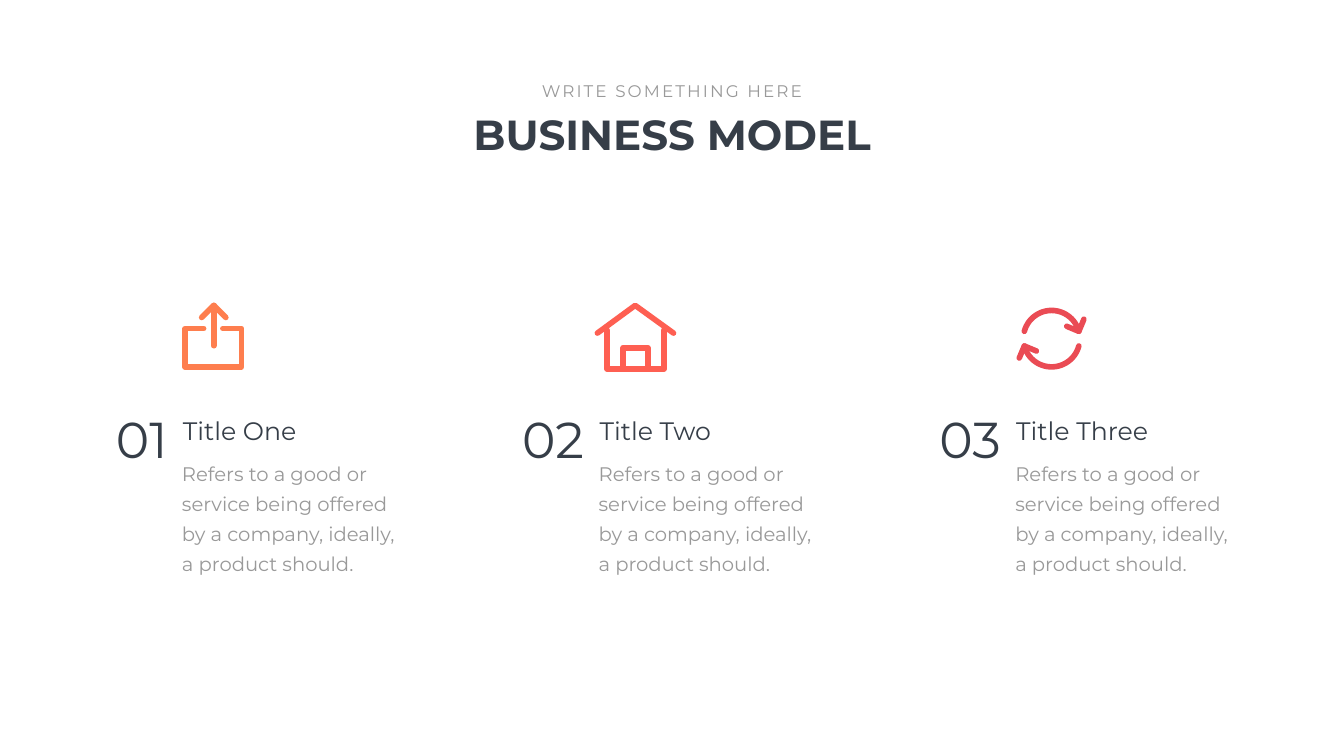
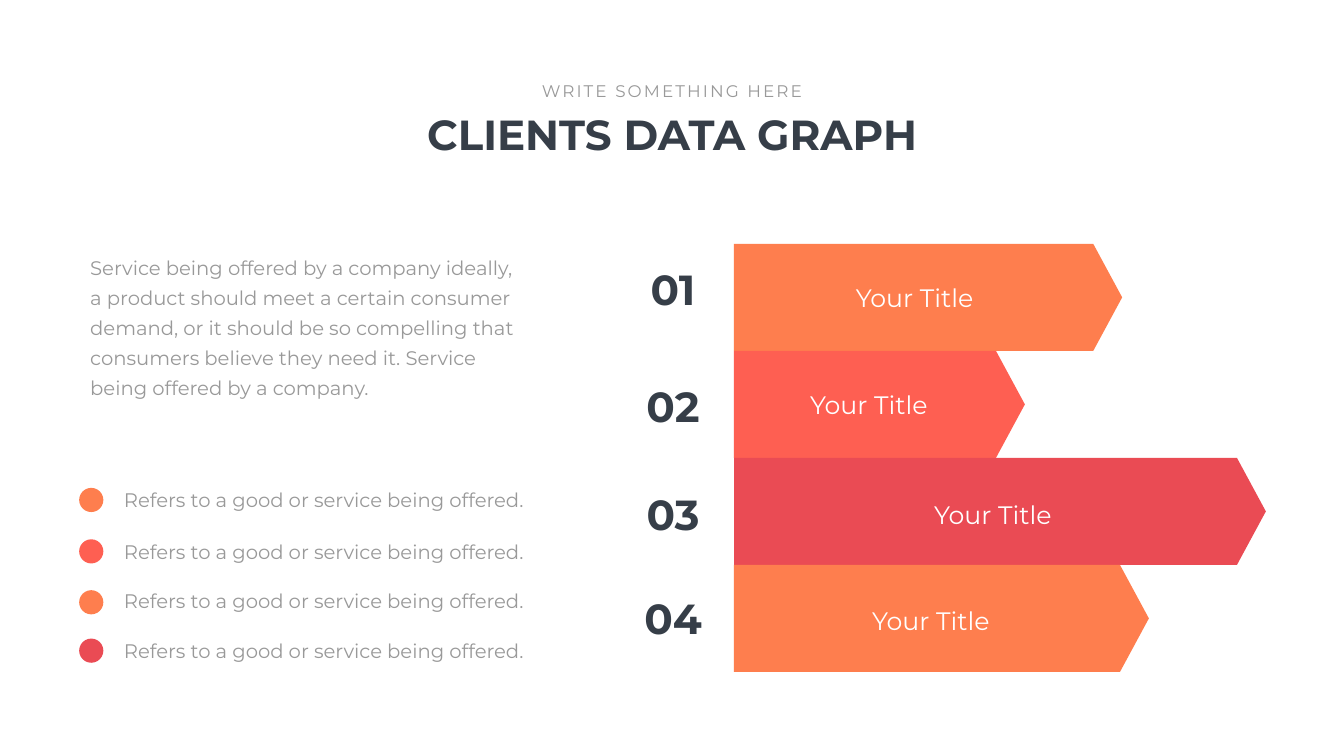
"""Builds two slides: a three-column business model and a clients data graph."""
from math import cos, radians, sin

from lxml import etree
from pptx import Presentation
from pptx.dml.color import RGBColor
from pptx.enum.shapes import MSO_SHAPE
from pptx.enum.text import MSO_AUTO_SIZE, PP_ALIGN
from pptx.oxml.ns import qn
from pptx.util import Inches, Pt

LEFT, CENTER, RIGHT = PP_ALIGN.LEFT, PP_ALIGN.CENTER, PP_ALIGN.RIGHT
GROW = MSO_AUTO_SIZE.SHAPE_TO_FIT_TEXT
OVAL, PENTAGON = MSO_SHAPE.OVAL, MSO_SHAPE.PENTAGON

ORANGE = RGBColor(0xFE, 0x7E, 0x4E)
CORAL = RGBColor(0xFE, 0x5F, 0x52)
RED = RGBColor(0xEA, 0x4B, 0x54)
DARK = RGBColor(0x36, 0x3E, 0x48)
GRAY = RGBColor(0x99, 0x99, 0x99)
WHITE = RGBColor(0xFF, 0xFF, 0xFF)

FONT = "Montserrat"
SMALL, BODY, HEADING, TITLE, NUMBER = 24, 28, 36, 60, 72
SLIDE_W, SLIDE_H = 26.66, 15


def add_text(s, x, y, w, h, text, size, color, align=LEFT, bold=False, wrap=True):
    sp = s.shapes.add_textbox(Inches(x), Inches(y), Inches(w), Inches(h))
    tf = sp.text_frame
    tf.word_wrap = wrap
    tf.auto_size = GROW
    tf.text = text
    p = tf.paragraphs[0]
    p.alignment = align
    font = p.runs[0].font
    font.name, font.size, font.bold = FONT, Pt(size), bold
    font.color.rgb = color
    return tf


def fill_shape(sp, color):
    sp.shadow.inherit = False
    sp.fill.solid()
    sp.fill.fore_color.rgb = color
    sp.line.fill.background()


prs = Presentation()
prs.slide_width, prs.slide_height = Inches(SLIDE_W), Inches(SLIDE_H)

slides = []
for title, width in (("BUSINESS MODEL", 9.98), ("CLIENTS DATA GRAPH", 13.14)):
    s = prs.slides.add_slide(prs.slide_layouts[6])
    s.background.fill.solid()
    s.background.fill.fore_color.rgb = WHITE
    add_text(s, (SLIDE_W - width) / 2, 2.1, width, 1.11, title, TITLE, DARK, CENTER, bold=True)
    tf = add_text(s, 10.6, 1.55, 5.46, 0.5, "WRITE SOMETHING HERE", SMALL, GRAY, CENTER,
                  wrap=False)
    tf.paragraphs[0].runs[0]._r.get_or_add_rPr().set("spc", "300")
    slides.append(s)
model, graph = slides

COLUMN_X = 3.37
COLUMN_PITCH = (19.9 - COLUMN_X) / 2
COLUMN_TEXT = ("Refers to a good or service being offered by a company, "
               "ideally, a product should.")
INTRO = ("Service being offered by a company ideally, a product should meet a certain consumer "
         "demand, or it should be so compelling that consumers believe they need it. "
         "Service being offered by a company.")

body_frames = []
for i, name in enumerate(("One", "Two", "Three")):
    x = COLUMN_X + COLUMN_PITCH * i
    body_frames.append(add_text(model, x, 8.91, 4.97, 2.6, COLUMN_TEXT, BODY, GRAY))
    add_text(model, x + 0.16, 8.2, 4.81, 0.71, f"Title {name}", HEADING, DARK)
    add_text(model, x - 1.58, 8.05, 1.63, 1.31, f"0{i + 1}", NUMBER, DARK, RIGHT)
body_frames.append(add_text(graph, 1.55, 4.82, 8.93, 3.2, INTRO, BODY, GRAY))

for tf in body_frames:
    tf.margin_left = tf.margin_right = Inches(0.24)
    tf.margin_top = tf.margin_bottom = Inches(0.12)
    tf.paragraphs[0].line_spacing = Pt(43)

ICON_STROKE = 8
tray = [(4.42, 6.52), (4.79, 6.52), (4.79, 7.28), (3.67, 7.28), (3.67, 6.52), (4.04, 6.52)]
arrow_head = [(4, 6.3), (4.24, 6.06), (4.48, 6.3)]
arrow_stem = [(4.24, 6.06), (4.24, 6.86)]
roof = [(11.85, 6.61), (12.6, 6.06), (13.36, 6.61)]
walls = [(12.04, 6.55), (12.04, 7.32), (13.17, 7.32), (13.17, 6.55)]
door = [(12.36, 7.32), (12.36, 6.9), (12.85, 6.9), (12.85, 7.32)]
icons = [(ORANGE, [tray]), (ORANGE, [arrow_head, arrow_stem]), (CORAL, [roof, walls, door])]

CYCLE_X, CYCLE_Y, CYCLE_RADIUS = 20.86, 6.72, 0.56
arc = [(CYCLE_RADIUS * cos(radians(a)), CYCLE_RADIUS * sin(radians(a)))
       for a in range(195, 346, 5)]
tip_x, tip_y = arc[-1]
cycle_head = [(tip_x - 0.24, tip_y - 0.1), (tip_x, tip_y), (tip_x + 0.1, tip_y - 0.24)]
for turn in (1, -1):
    icons.append((RED, [[(CYCLE_X + turn * dx, CYCLE_Y + turn * dy) for dx, dy in stroke]
                        for stroke in (arc, cycle_head)]))

for color, strokes in icons:
    first_x, first_y = strokes[0][0]
    builder = model.shapes.build_freeform(Inches(first_x), Inches(first_y))
    for stroke in strokes:
        points = [(Inches(x), Inches(y)) for x, y in stroke]
        if stroke is not strokes[0]:
            builder.move_to(*points[0])
        builder.add_line_segments(points[1:], close=False)
    sp = builder.convert_to_shape()
    sp.shadow.inherit = False
    sp.fill.background()
    sp.line.color.rgb = color
    sp.line.width = Pt(ICON_STROKE)
    ln = sp._element.spPr.find(qn("a:ln"))
    ln.set("cap", "rnd")
    etree.SubElement(ln, qn("a:round"))

DOT_SIZE = 0.48
legend = ((ORANGE, 9.68, 9.64), (CORAL, 10.7, 10.66), (ORANGE, 11.71, 11.64), (RED, 12.67, 12.63))
for color, dot_y, text_y in legend:
    sp = graph.shapes.add_shape(OVAL, Inches(1.57), Inches(dot_y),
                                Inches(DOT_SIZE), Inches(DOT_SIZE))
    fill_shape(sp, color)
    add_text(graph, 2.36, text_y, 8.3, 0.57, "Refers to a good or service being offered.",
             BODY, GRAY)

BAR_X, BAR_Y, BAR_H = 14.56, 4.84, 2.12
BAR_PITCH = (11.21 - BAR_Y) / 3
NUMBER_W = 2.42
bars = ((ORANGE, 7.7, 5.18, 16.88, 5.55), (CORAL, 5.77, 7.5, 15.97, 7.68),
        (RED, 10.55, 9.64, 18.43, 9.85), (ORANGE, 8.23, 11.71, 17.2, 11.97))
for i, (color, bar_w, number_y, label_x, label_y) in enumerate(bars):
    sp = graph.shapes.add_shape(PENTAGON, Inches(BAR_X), Inches(BAR_Y + BAR_PITCH * i),
                                Inches(bar_w), Inches(BAR_H))
    sp.adjustments[0] = 0.27
    fill_shape(sp, color)
    add_text(graph, BAR_X - NUMBER_W, number_y, NUMBER_W, 1.11, f"0{i + 1}", TITLE, DARK,
             CENTER, bold=True)
    add_text(graph, label_x, label_y, 2.95, 0.71, "Your Title", HEADING, WHITE)

prs.save("out.pptx")
